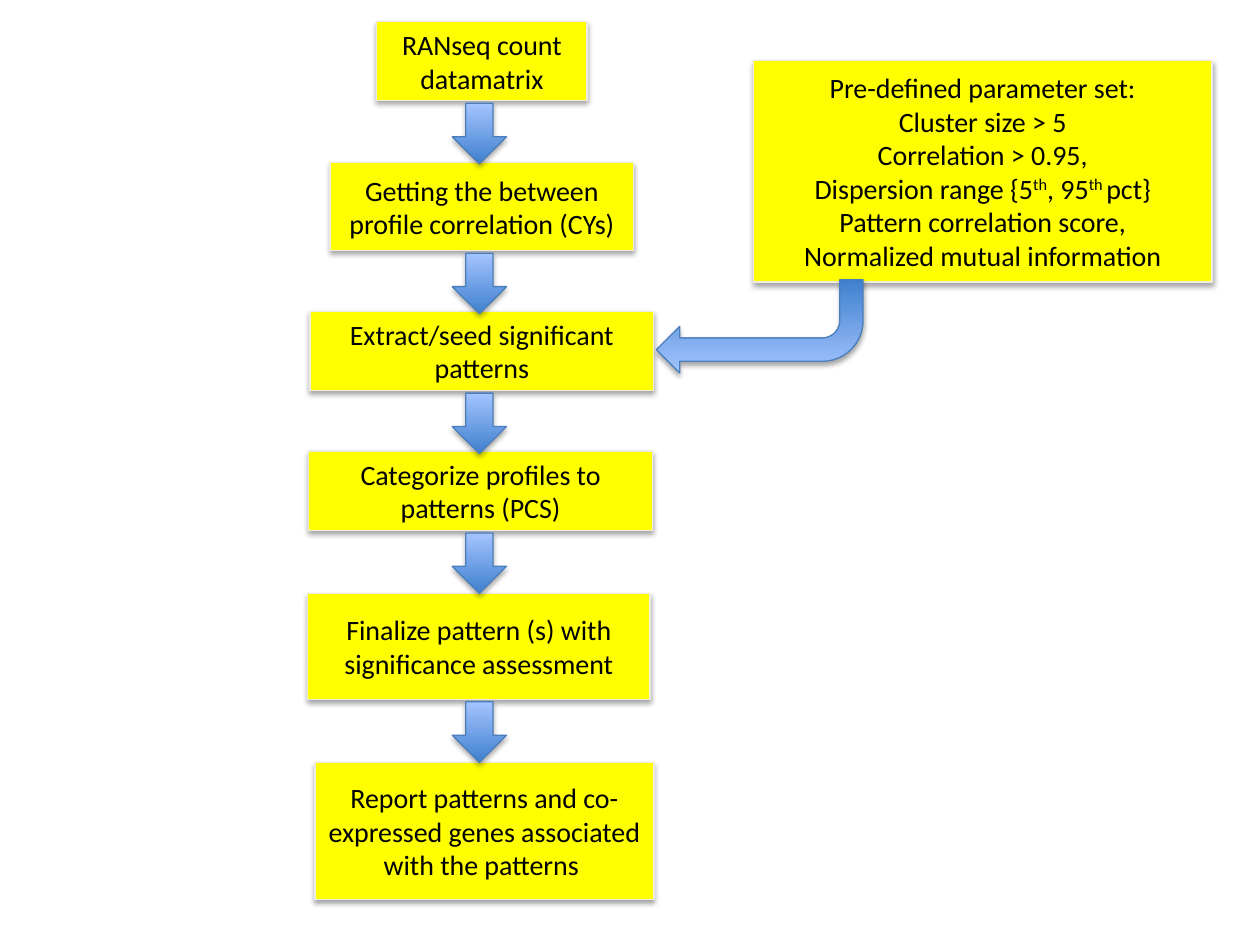
from lxml import etree
from pptx import Presentation
from pptx.dml.color import RGBColor
from pptx.enum.shapes import MSO_SHAPE
from pptx.enum.text import MSO_ANCHOR, PP_ALIGN
from pptx.oxml.ns import qn
from pptx.util import Inches, Pt

COLORS = {
    "box": "FFFF00",
    "box_line": "EEECE1",
    "arrow_dark": "3F80CE",
    "arrow_light": "A4C4FF",
    "arrow_line": "4B7EBC",
    "text": "000000",
    "shadow": "000000",
}

# Each step: left, top, width, height, wording
STEPS = [
    (2.99, 0.17, 1.67, 0.63, "RANseq count datamatrix"),
    (2.62, 1.29, 2.41, 0.70, "Getting the between profile correlation (CYs)"),
    (2.46, 2.47, 2.73, 0.63, "Extract/seed significant patterns"),
    (2.45, 3.58, 2.73, 0.63, "Categorize profiles to patterns (PCS)"),
    (2.44, 4.71, 2.72, 0.84, "Finalize pattern (s) with significance assessment"),
    (2.50, 6.05, 2.69, 1.09,
     "Report patterns and co-expressed genes associated with the patterns "),
]

# Each line is a list of runs; every second run is superscript
PARAMETERS = [
    ["Pre-defined parameter set:"],
    ["Cluster size > 5"],
    ["Correlation > 0.95,"],
    ["Dispersion range {5", "th", ", 95", "th ", "pct}"],
    ["Pattern correlation score,"],
    ["Normalized mutual information"],
]


def rgb(name):
    return RGBColor.from_string(COLORS[name])


def add_shadow(shape):
    shape.shadow.inherit = False
    effects = shape._element.spPr.find(qn("a:effectLst"))
    shadow = etree.SubElement(
        effects, qn("a:outerShdw"), blurRad=str(Pt(3.1)), dist=str(Pt(1.8)),
        dir="5400000", rotWithShape="0")
    color = etree.SubElement(shadow, qn("a:srgbClr"), val=COLORS["shadow"])
    etree.SubElement(color, qn("a:alpha"), val="35000")


def add_outlined_shape(page, kind, place, line_color):
    shape = page.shapes.add_shape(kind, *map(Inches, place))
    shape.line.color.rgb = rgb(line_color)
    shape.line.width = Pt(0.75)
    add_shadow(shape)
    return shape


def add_box(page, place, lines):
    box = add_outlined_shape(page, MSO_SHAPE.RECTANGLE, place, "box_line")
    box.fill.solid()
    box.fill.fore_color.rgb = rgb("box")
    frame = box.text_frame
    frame.word_wrap = True
    frame.vertical_anchor = MSO_ANCHOR.MIDDLE
    for number, runs in enumerate(lines):
        para = frame.add_paragraph() if number else frame.paragraphs[0]
        para.alignment = PP_ALIGN.CENTER
        for position, wording in enumerate(runs):
            span = para.add_run()
            span.text = wording
            span.font.name = "Calibri"
            span.font.size = Pt(16)
            span.font.color.rgb = rgb("text")
            if position % 2:
                span._r.get_or_add_rPr().set("baseline", "30000")
    return box


def add_arrow(page, kind, place):
    arrow = add_outlined_shape(page, kind, place, "arrow_line")
    arrow.fill.gradient()
    arrow.fill.gradient_angle = 90
    for stop, name, position in zip(
            arrow.fill.gradient_stops, ("arrow_dark", "arrow_light"), (0, 1)):
        stop.color.rgb = rgb(name)
        stop.position = position
    return arrow


def add_step_column(page, steps):
    for *place, wording in steps:
        add_box(page, place, [[wording]])
    # One arrow below every step but the last
    for left, top, width, height, wording in steps[:-1]:
        add_arrow(page, MSO_SHAPE.DOWN_ARROW,
                  (3.59, top + height + 0.02, 0.43, 0.48))


def add_parameter_panel(page, place):
    left, top, width, height = place
    add_box(page, place, PARAMETERS)
    # Bent arrow from the panel back to the extraction step
    arrow = add_arrow(page, MSO_SHAPE.BENT_ARROW,
                      (left - 0.77, top + height - 0.02, 1.64, 0.74))
    arrow.rotation = 180


def main():
    deck = Presentation()
    deck.slide_width, deck.slide_height = Inches(10), Inches(7.5)
    page = deck.slides.add_slide(deck.slide_layouts[6])
    add_step_column(page, STEPS)
    add_parameter_panel(page, (5.98, 0.48, 3.64, 1.76))
    deck.save("out.pptx")


if __name__ == "__main__":
    main()
